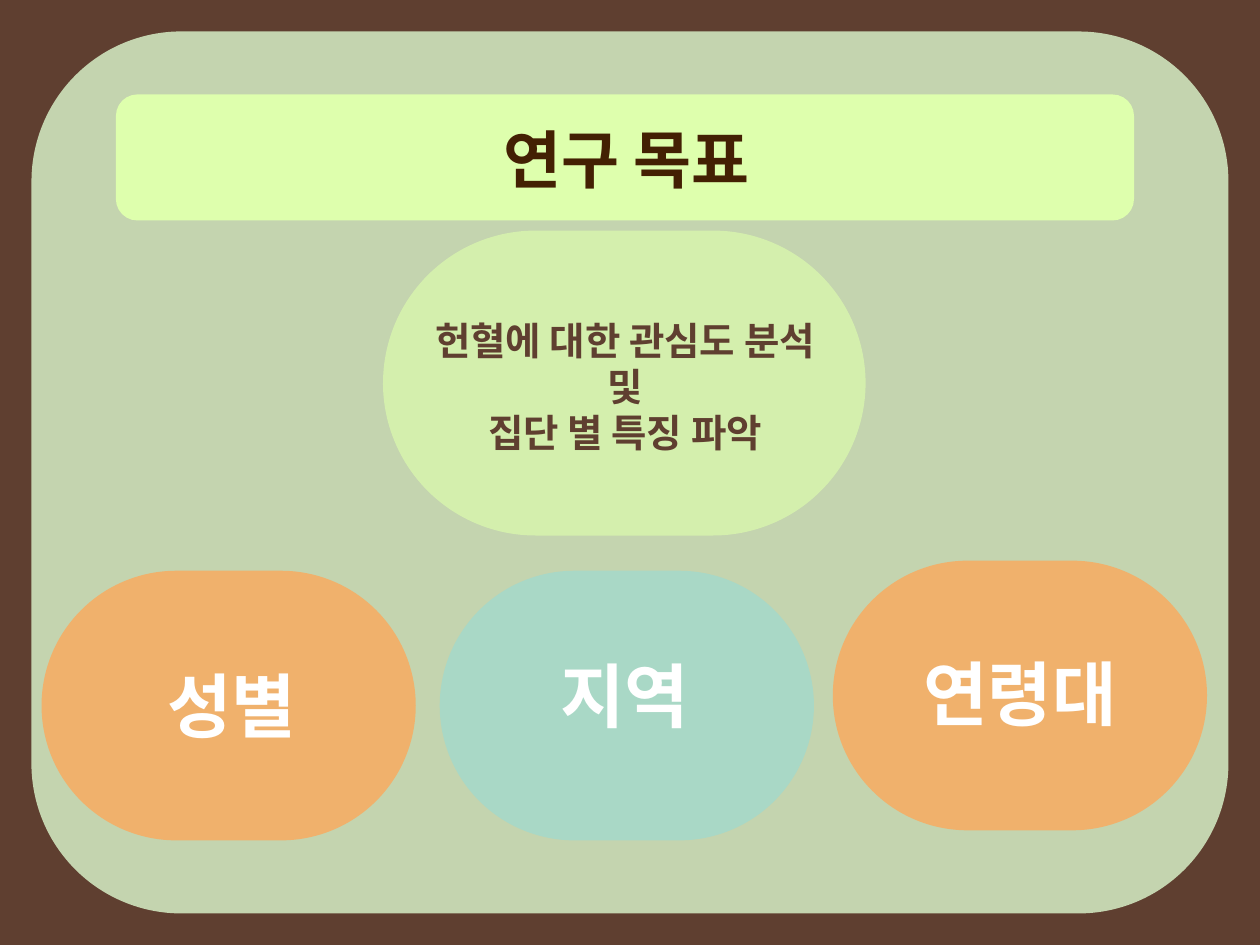
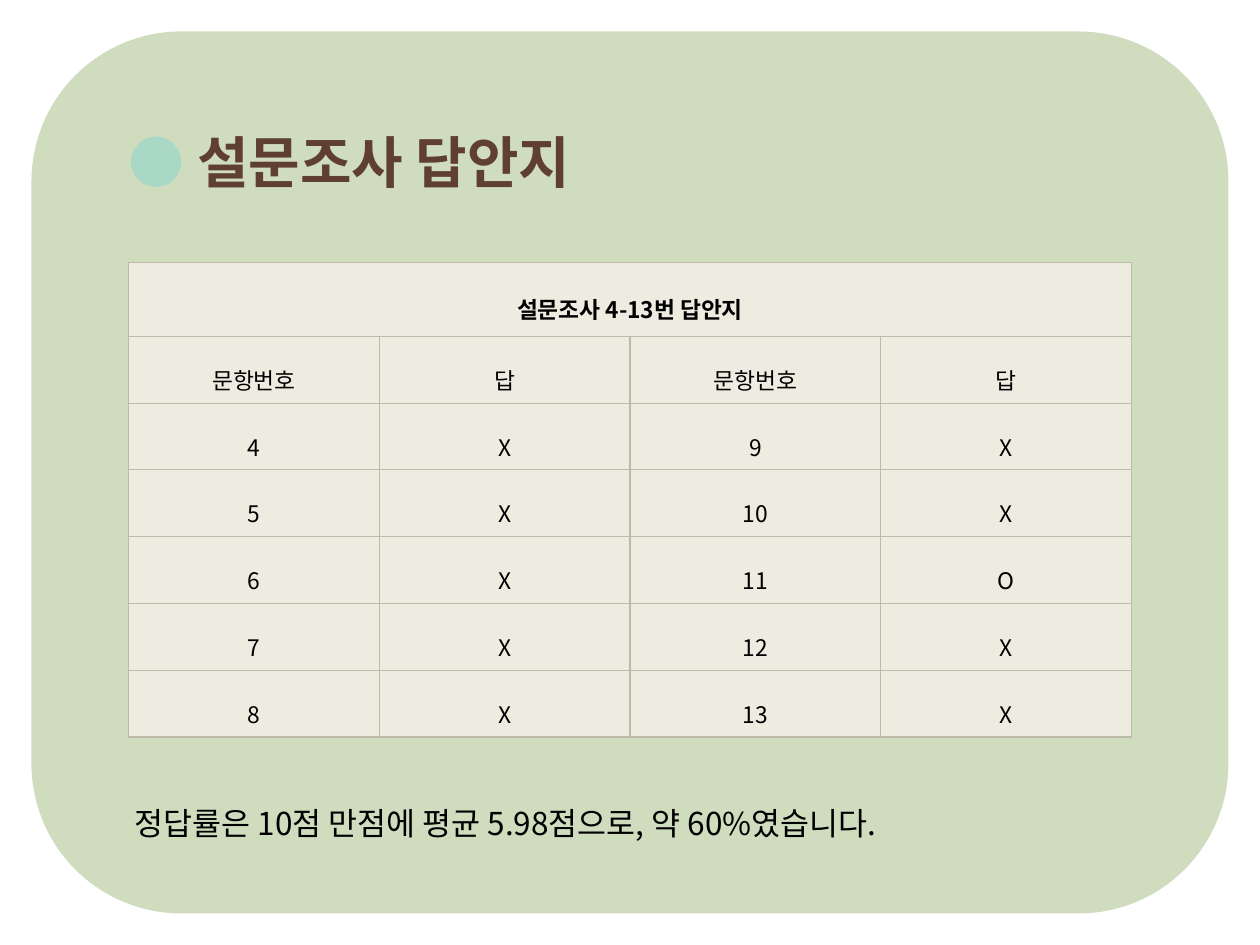
from dataclasses import dataclass

from lxml.etree import SubElement
from pptx import Presentation
from pptx.dml.color import RGBColor
from pptx.enum.shapes import MSO_SHAPE as Preset
from pptx.enum.text import MSO_ANCHOR as Anchor, PP_ALIGN as Align
from pptx.oxml.ns import qn
from pptx.util import Pt

PX = 9144
FONT = "Noto Sans CJK KR"

BROWN = RGBColor(0x5F, 0x3F, 0x30)
DARK_BROWN = RGBColor(0x43, 0x20, 0x03)
SAGE = RGBColor(0xC4, 0xD4, 0xAF)
PALE_SAGE = RGBColor(0xCF, 0xDC, 0xBE)
LIME = RGBColor(0xDE, 0xFF, 0xAD)
ORANGE = RGBColor(0xF0, 0xB1, 0x6C)
MINT = RGBColor(0xA9, 0xD8, 0xC6)
CREAM = RGBColor(0xEE, 0xEC, 0xE1)
GRID = RGBColor(0xBC, 0xBA, 0xAB)
WHITE = RGBColor(0xFF, 0xFF, 0xFF)
BLACK = RGBColor(0x00, 0x00, 0x00)


@dataclass(frozen=True)
class Area:
    left: int
    top: int
    width: int
    height: int

    def emu(self) -> tuple[int, ...]:
        return tuple(PX * side for side in (self.left, self.top, self.width, self.height))


@dataclass(frozen=True)
class Style:
    size: int
    color: RGBColor
    bold: bool = True
    align: Align = Align.CENTER


@dataclass(frozen=True)
class Group:
    name: str
    pill: Area
    label: Area
    color: RGBColor


PANEL = Area(25, 25, 950, 700)
GOAL_LINES = ["헌혈에 대한 관심도 분석", "및", "집단 별 특징 파악"]
GROUPS = [
    Group("연령대", Area(661, 445, 297, 214), Area(717, 511, 185, 77), ORANGE),
    Group("지역", Area(349, 453, 297, 214), Area(431, 513, 130, 77), MINT),
    Group("성별", Area(33, 453, 297, 214), Area(119, 521, 130, 77), ORANGE),
]
ANSWERS = {4: "X", 5: "X", 6: "X", 7: "X", 8: "X",
           9: "X", 10: "X", 11: "O", 12: "X", 13: "X"}


def format_span(span, style: Style) -> None:
    font = span.font
    font.name = FONT
    font.size = Pt(style.size)
    font.bold = style.bold
    font.color.rgb = style.color
    SubElement(font._element, qn("a:ea"), typeface=FONT)


def add_page(deck, background: RGBColor, panel: RGBColor):
    page = deck.slides.add_slide(deck.slide_layouts[6])
    page.background.fill.solid()
    page.background.fill.fore_color.rgb = background
    add_rounded(page, PANEL, panel)
    return page


def add_rounded(page, area: Area, color: RGBColor, rounding: float = 0.17, opacity: int = 100) -> None:
    shape = page.shapes.add_shape(Preset.ROUNDED_RECTANGLE, *area.emu())
    shape.adjustments[0] = rounding
    shape.shadow.inherit = False
    shape.line.fill.background()
    shape.fill.solid()
    shape.fill.fore_color.rgb = color
    if opacity < 100:
        tint = shape._element.spPr.find(qn("a:solidFill"))[0]
        SubElement(tint, qn("a:alpha"), val=str(opacity * 1000))


def add_text(page, area: Area, text: str, style: Style):
    box = page.shapes.add_textbox(*area.emu())
    frame = box.text_frame
    frame.word_wrap = True
    frame.vertical_anchor = Anchor.MIDDLE
    frame.text = text
    for para in frame.paragraphs:
        para.alignment = style.align
        for span in para.runs:
            format_span(span, style)
    return frame


def fill_cell(cell, text: str, style: Style) -> None:
    cell.vertical_anchor = Anchor.MIDDLE
    cell.margin_left = cell.margin_right = 7 * PX
    cell.margin_top = cell.margin_bottom = 2 * PX
    properties = cell._tc.get_or_add_tcPr()
    for side in ("lnL", "lnR", "lnT", "lnB"):
        border = SubElement(properties, qn(f"a:{side}"), w=str(Pt(0.75)))
        paint = SubElement(border, qn("a:solidFill"))
        SubElement(paint, qn("a:srgbClr"), val=str(GRID))
    cell.fill.solid()
    cell.fill.fore_color.rgb = CREAM
    cell.text = text
    para = cell.text_frame.paragraphs[0]
    para.alignment = style.align
    para.line_spacing = 1.6
    for span in para.runs:
        format_span(span, style)


def add_answer_table(page) -> None:
    numbers = list(ANSWERS)
    half = len(numbers) // 2
    rows = [["설문조사 4-13번 답안지", "", "", ""], ["문항번호", "답"] * 2]
    for first, second in zip(numbers[:half], numbers[half:]):
        rows.append([str(first), ANSWERS[first], str(second), ANSWERS[second]])

    area = Area(102, 208, 796, 377)
    table = page.shapes.add_table(len(rows), 4, *area.emu()).table
    for column in table.columns:
        column.width = 199 * PX
    for index, texts in enumerate(rows):
        table.rows[index].height = (53 if index else 59) * PX
        style = Style(13, BLACK, bold=index == 0)
        for column, text in enumerate(texts):
            fill_cell(table.cell(index, column), text, style)
    table.cell(0, 0).merge(table.cell(0, 3))


def build_goal_page(deck) -> None:
    page = add_page(deck, BROWN, SAGE)
    add_rounded(page, Area(304, 183, 383, 242), LIME, 0.5, 65)
    goal = add_text(page, Area(319, 246, 354, 121), "\n".join(GOAL_LINES), Style(22, BROWN))
    for para in goal.paragraphs:
        para.line_spacing = Pt(26.4)
    add_rounded(page, Area(92, 75, 808, 100), LIME)
    add_text(page, Area(119, 90, 756, 71), "연구 목표", Style(36, DARK_BROWN))
    for group in GROUPS:
        add_rounded(page, group.pill, group.color, 0.5)
        add_text(page, group.label, group.name, Style(40, WHITE))


def build_answer_page(deck) -> None:
    page = add_page(deck, WHITE, PALE_SAGE)
    title = add_text(page, Area(92, 96, 850, 64), "● ", Style(32, MINT, align=Align.LEFT))
    span = title.paragraphs[0].add_run()
    span.text = "설문조사 답안지"
    format_span(span, Style(32, BROWN))
    add_answer_table(page)
    add_text(page, Area(97, 633, 760, 40),
             "정답률은 10점 만점에 평균 5.98점으로, 약 60%였습니다.",
             Style(18, BLACK, bold=False, align=Align.LEFT))


def main() -> None:
    deck = Presentation()
    deck.slide_width = 1000 * PX
    deck.slide_height = 750 * PX
    build_goal_page(deck)
    build_answer_page(deck)
    deck.save("out.pptx")


if __name__ == "__main__":
    main()
